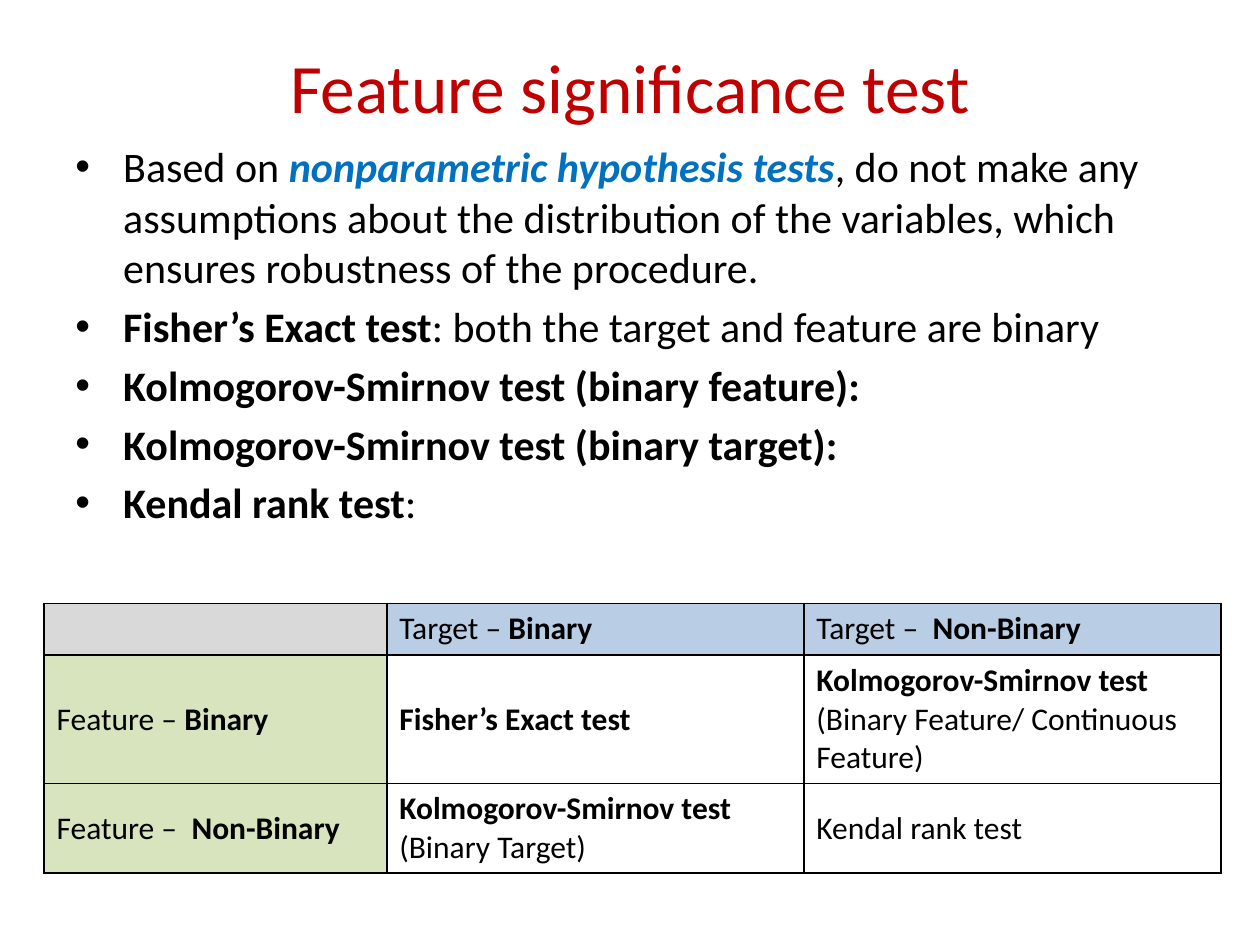
from lxml.etree import SubElement
from pptx import Presentation
from pptx.dml.color import RGBColor
from pptx.enum.text import MSO_ANCHOR, PP_ALIGN
from pptx.oxml.ns import qn
from pptx.util import Inches, Pt

FONT = "Calibri"
BLACK = RGBColor(0x00, 0x00, 0x00)
RED = RGBColor(0xC0, 0x00, 0x00)
BLUE = RGBColor(0x00, 0x70, 0xC0)
WHITE = RGBColor(0xFF, 0xFF, 0xFF)
GREY = RGBColor(0xD9, 0xD9, 0xD9)
PALE_BLUE = RGBColor(0xB9, 0xCD, 0xE5)
PALE_GREEN = RGBColor(0xD7, 0xE4, 0xBD)

# Content: a paragraph is a list of (text, style) spans
PLAIN, BOLD, KEY = "plain", "bold", "key"
TITLE = "Feature significance test"
BULLETS = [
    [("Based on ", PLAIN), ("nonparametric hypothesis tests", KEY),
     (", do not make any assumptions about the distribution of the variables, "
      "which ensures robustness of the procedure.", PLAIN)],
    [("Fisher’s Exact test", BOLD),
     (": both the target and feature are binary", PLAIN)],
    [("Kolmogorov-Smirnov test (binary feature):", BOLD)],
    [("Kolmogorov-Smirnov test (binary target):", BOLD)],
    [("Kendal rank test", BOLD), (":", PLAIN)],
]
TESTS = [
    [[],
     [[("Target – ", PLAIN), ("Binary", BOLD)]],
     [[("Target –  ", PLAIN), ("Non-Binary", BOLD)]]],
    [[[("Feature – ", PLAIN), ("Binary", BOLD)]],
     [[("Fisher’s Exact test", BOLD)]],
     [[("Kolmogorov-Smirnov test", BOLD)],
      [("(Binary Feature/ Continuous Feature)", PLAIN)]]],
    [[[("Feature –  ", PLAIN), ("Non-Binary", BOLD)]],
     [[("Kolmogorov-Smirnov test", BOLD)], [("(Binary Target)", PLAIN)]],
     [[("Kendal rank test", PLAIN)]]],
]
COLUMN_WIDTHS = [2.72, 3.31, 3.31]
ROW_HEIGHTS = [0.41, 1.02, 0.71]


def add_span(para, text, size, color=BLACK, style=PLAIN):
    span = para.add_run()
    span.text = text
    span.font.name = FONT
    span.font.size = Pt(size)
    span.font.bold = style != PLAIN
    span.font.italic = style == KEY
    span.font.color.rgb = BLUE if style == KEY else color


def add_paragraphs(frame, paragraphs, size):
    for index, spans in enumerate(paragraphs):
        para = frame.add_paragraph() if index else frame.paragraphs[0]
        for text, style in spans:
            add_span(para, text, size, style=style)


def add_text_frame(page, left, top, width, height):
    box = page.shapes.add_textbox(*map(Inches, (left, top, width, height)))
    box.text_frame.word_wrap = True
    return box.text_frame


def set_bullet(para):
    para.space_before = Pt(4.8)
    props = para._p.get_or_add_pPr()
    props.set("marL", str(Inches(0.38)))
    props.set("indent", str(-Inches(0.38)))
    SubElement(props, qn("a:buFont"), typeface="Arial")
    SubElement(props, qn("a:buChar"), char="•")


def set_borders(cell):
    props = cell._tc.get_or_add_tcPr()
    for side in ("L", "R", "T", "B"):
        line = SubElement(props, qn(f"a:ln{side}"), w=str(Pt(1)))
        fill = SubElement(line, qn("a:solidFill"))
        SubElement(fill, qn("a:srgbClr"), val=str(BLACK))


def cell_color(row, column):
    if row == 0:
        return PALE_BLUE if column else GREY
    return WHITE if column else PALE_GREEN


deck = Presentation()
deck.slide_width, deck.slide_height = Inches(10), Inches(7.5)
page = deck.slides.add_slide(deck.slide_layouts[6])

# Title
title = add_text_frame(page, 0.5, 0.3, 9, 0.77)
title.vertical_anchor = MSO_ANCHOR.MIDDLE
title.paragraphs[0].alignment = PP_ALIGN.CENTER
add_span(title.paragraphs[0], TITLE, 39.6, RED)

# Bullets
body = add_text_frame(page, 0.5, 1.07, 9, 3.23)
add_paragraphs(body, BULLETS, 24)
for para in body.paragraphs:
    set_bullet(para)

# Table of tests by feature and target type
table = page.shapes.add_table(
    len(ROW_HEIGHTS), len(COLUMN_WIDTHS), Inches(0.35), Inches(4.79),
    Inches(sum(COLUMN_WIDTHS)), Inches(sum(ROW_HEIGHTS))).table
for column, width in zip(table.columns, COLUMN_WIDTHS):
    column.width = Inches(width)
for row, height in zip(table.rows, ROW_HEIGHTS):
    row.height = Inches(height)
for r, cells in enumerate(TESTS):
    for c, paragraphs in enumerate(cells):
        cell = table.cell(r, c)
        set_borders(cell)
        cell.fill.solid()
        cell.fill.fore_color.rgb = cell_color(r, c)
        cell.vertical_anchor = MSO_ANCHOR.MIDDLE if r else MSO_ANCHOR.TOP
        add_paragraphs(cell.text_frame, paragraphs, 18)

deck.save("out.pptx")
